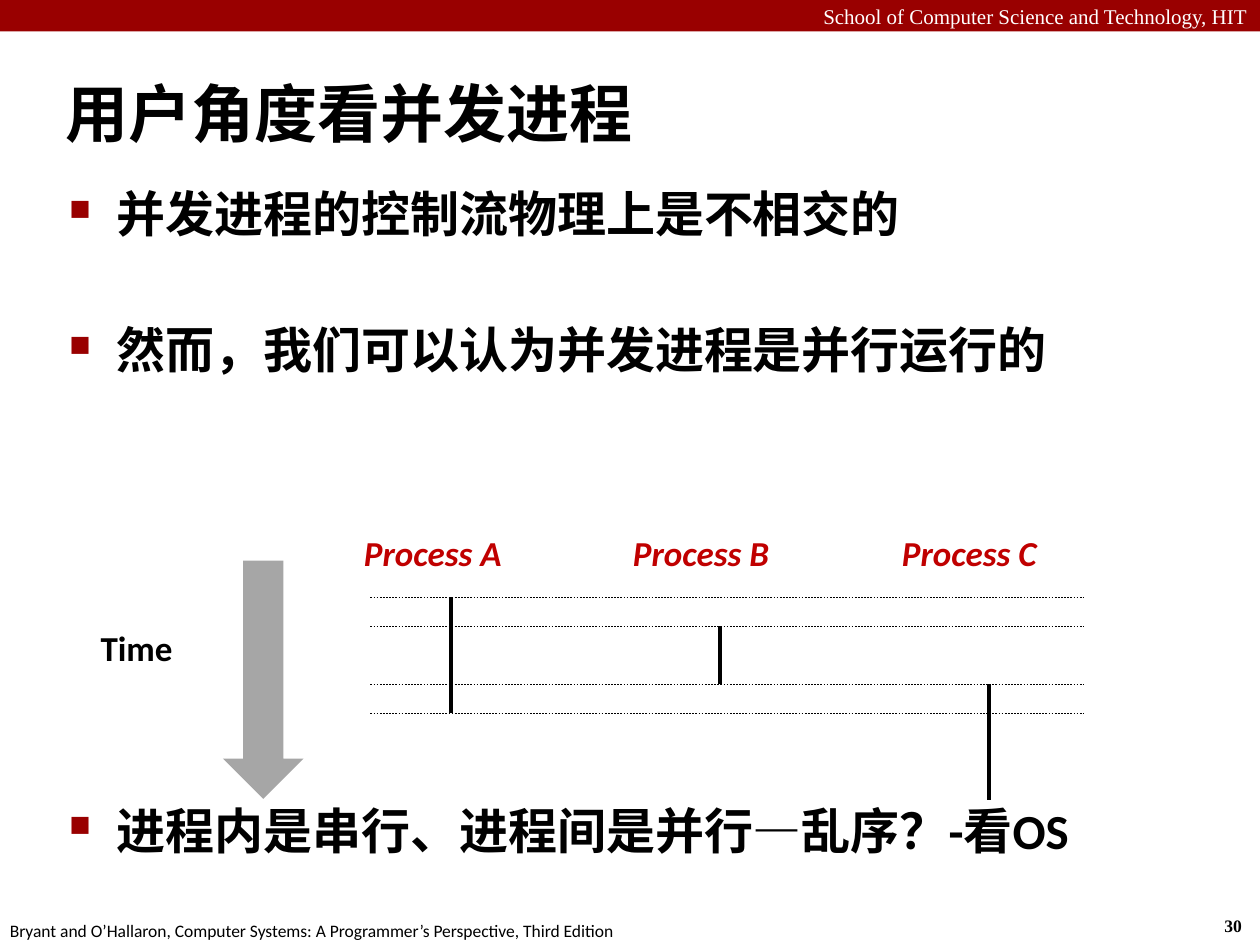
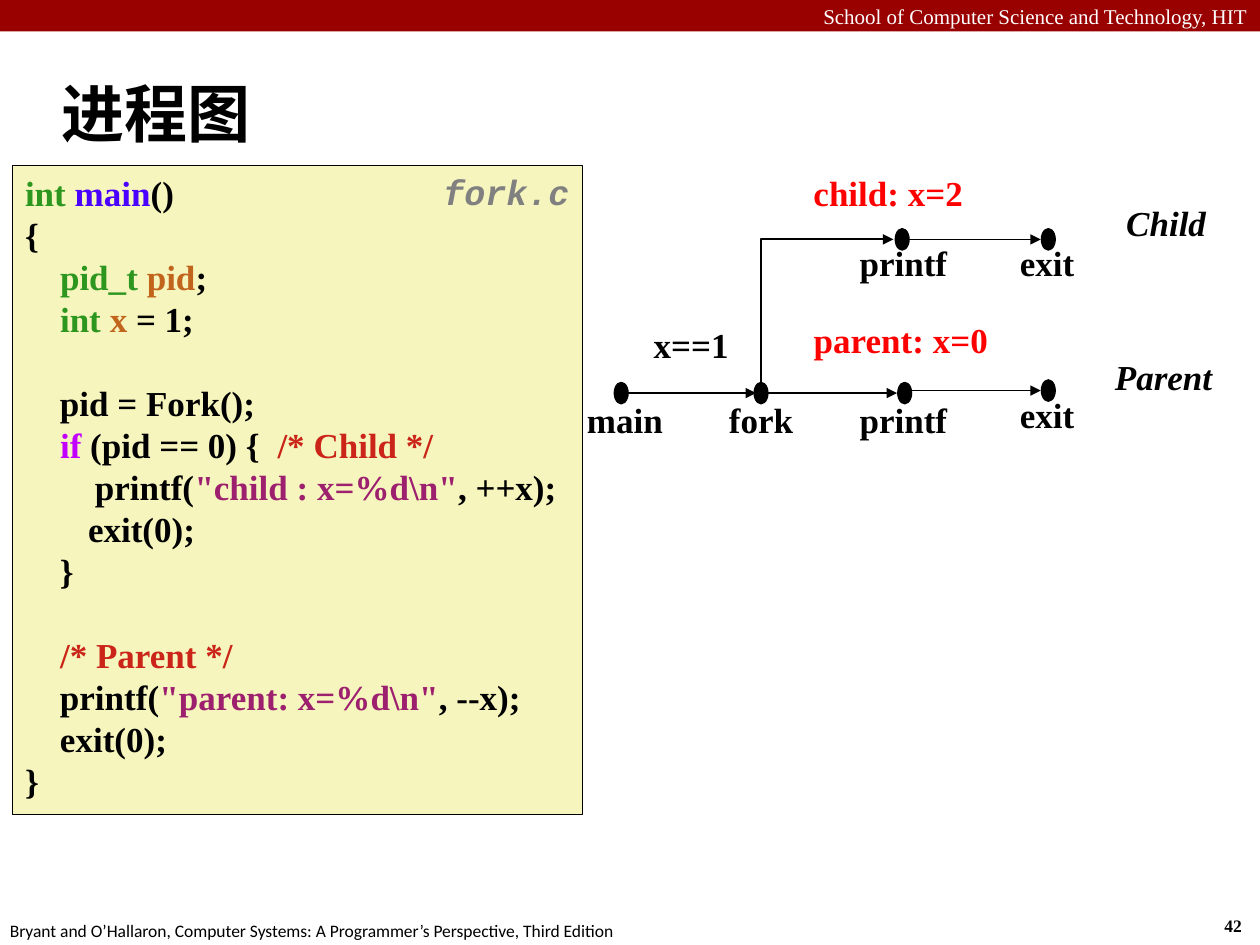
from lxml import etree
from pptx import Presentation
from pptx.dml.color import RGBColor
from pptx.enum import dml, shapes, text
from pptx.oxml.ns import qn
from pptx.util import Inches, Pt

BLACK, WHITE, MAROON, RED = "000000", "FFFFFF", "990000", "FF0000"
TYPE, CALL, NAME, KEYWORD = "2D961E", "4A00FF", "C1651C", "C200FF"
COMMENT, STRING = "CB2418", "9D206F"
SANS, SERIF, MONO = "Calibri", "Times New Roman", "Courier New"
LEFT, CENTER, RIGHT = text.PP_ALIGN.LEFT, text.PP_ALIGN.CENTER, text.PP_ALIGN.RIGHT
TOP, MIDDLE = text.MSO_ANCHOR.TOP, text.MSO_ANCHOR.MIDDLE
PRESET = shapes.MSO_SHAPE


def rgb(value):
    """Turn a hex string into a colour."""
    return RGBColor.from_string(value)


class Deck:
    """Holds the shared style and the current slide."""

    def __init__(self):
        """Start an empty 10 by 7.5 inch presentation."""
        self.presentation = Presentation()
        self.presentation.slide_width = Inches(10)
        self.presentation.slide_height = Inches(7.5)

    def start(self, number, title, left, top, width, height):
        """Add a slide with band, footer, page number and title."""
        blank = self.presentation.slide_layouts[6]
        self.slide = self.presentation.slides.add_slide(blank)
        band = self.shape(PRESET.RECTANGLE, 0, 0, 10, 0.25, MAROON)
        band.text_frame.margin_top = band.text_frame.margin_bottom = 0
        school = "School of Computer Science and Technology, HIT"
        self.fill_text(band.text_frame, [[(school, WHITE)]], 12, SERIF,
                       bold=False, align=RIGHT, anchor=MIDDLE)
        self.text(9.62, 7.21, 0.37, 0.27, str(number), 10)
        self.text(-0.02, 7.25, 5.08, 0.27,
                  "Bryant and O’Hallaron, Computer Systems: "
                  "A Programmer’s Perspective, Third Edition",
                  10, SANS, bold=False)
        self.text(left, top, width, height, title, 36, SANS,
                  anchor=MIDDLE, wrap=True)

    def fill_text(self, frame, lines, size=20, font=SERIF, bold=True, italic=False,
                  align=LEFT, anchor=TOP, wrap=False, spacing=None):
        """Write lines of (words, colour) runs into a text frame."""
        frame.word_wrap = wrap
        frame.vertical_anchor = anchor
        for index, line in enumerate(lines):
            paragraph = frame.add_paragraph() if index else frame.paragraphs[0]
            paragraph.alignment = align
            paragraph.line_spacing = spacing
            paragraph.font.size = Pt(size)
            paragraph.font.name = font
            for words, color in line:
                run = paragraph.add_run()
                run.text = words
                run.font.size, run.font.name = Pt(size), font
                run.font.bold, run.font.italic = bold, italic
                run.font.color.rgb = rgb(color)

    def text(self, left, top, width, height, words, size=20, font=SERIF,
             color=BLACK, **style):
        """Add a one-line text box."""
        box = self.slide.shapes.add_textbox(
            Inches(left), Inches(top), Inches(width), Inches(height))
        self.fill_text(box.text_frame, [[(words, color)]], size, font, **style)

    def bullets(self, left, top, width, height, points):
        """Add a bulleted body from (words, space before) pairs."""
        box = self.slide.shapes.add_textbox(
            Inches(left), Inches(top), Inches(width), Inches(height))
        self.fill_text(box.text_frame, [[(words, BLACK)] for words, _ in points],
                       28, SANS, wrap=True)
        for paragraph, (_, before) in zip(box.text_frame.paragraphs, points):
            paragraph.space_before = Pt(before)
            properties = paragraph._p.get_or_add_pPr()
            properties.set("marL", str(Inches(0.38)))
            properties.set("indent", str(Inches(-0.38)))
            marks = [etree.Element(qn(tag)) for tag in
                     ("a:buClr", "a:buSzPct", "a:buChar")]
            etree.SubElement(marks[0], qn("a:srgbClr")).set("val", MAROON)
            marks[1].set("val", "60000")
            marks[2].set("char", "■")
            place = len(properties.findall(qn("a:lnSpc")))
            place += len(properties.findall(qn("a:spcBef")))
            for offset, mark in enumerate(marks):
                properties.insert(place + offset, mark)

    def shape(self, preset, left, top, width, height, fill, outline=None):
        """Add a filled preset shape, outlined in black if a width is given."""
        shape = self.slide.shapes.add_shape(
            preset, Inches(left), Inches(top), Inches(width), Inches(height))
        shape.shadow.inherit = False
        shape.fill.solid()
        shape.fill.fore_color.rgb = rgb(fill)
        if outline:
            shape.line.color.rgb = rgb(BLACK)
            shape.line.width = Pt(outline)
        else:
            shape.line.fill.background()
        return shape

    def line(self, x1, y1, x2, y2, width, dash=False, arrow=False,
             kind=shapes.MSO_CONNECTOR.STRAIGHT):
        """Add a black connector."""
        line = self.slide.shapes.add_connector(
            kind, Inches(x1), Inches(y1), Inches(x2), Inches(y2))
        line.line.color.rgb = rgb(BLACK)
        line.line.width = Pt(width)
        if dash:
            line.line.dash_style = dml.MSO_LINE.DASH
        properties = line._element.spPr
        if arrow:
            etree.SubElement(properties.find(qn("a:ln")),
                             qn("a:tailEnd")).set("type", "triangle")
        etree.SubElement(properties, qn("a:effectLst"))
        return line

    def up_then_right(self, x1, y1, x2, y2):
        """Add an arrow with one corner, rising before it turns right."""
        across, rise = x2 - x1, y1 - y2
        x, y = (x1 + x2) / 2, (y1 + y2) / 2
        bend = self.line(x + rise / 2, y + across / 2, x - rise / 2, y - across / 2,
                         1, arrow=True, kind=shapes.MSO_CONNECTOR.ELBOW)
        properties = bend._element.spPr
        properties.find(qn("a:xfrm")).set("rot", "5400000")
        properties.find(qn("a:prstGeom")).set("prst", "bentConnector2")

    def node(self, x, y, label, label_x, label_top):
        """Add a process graph vertex with its label below."""
        self.shape(PRESET.OVAL, x - 0.055, y - 0.085, 0.11, 0.17, BLACK, 0.75)
        self.text(label_x - 0.575, label_top, 1.15, 0.42, label,
                  align=CENTER, wrap=True)


def concurrency(deck):
    """Build the slide on concurrent processes."""
    deck.start(30, "用户角度看并发进程", 0.42, 0.58, 9.25, 0.63)
    deck.bullets(0.45, 1.41, 8.64, 2.18, [
        ("并发进程的控制流物理上是不相交的", 0),
        ("然而，我们可以认为并发进程是并行运行的", 44),
        ("进程内是串行、进程间是并行—乱序？-看OS", 241)])
    deck.text(0.7, 4.92, 1, 0.6, "Time", font=SANS)
    deck.shape(PRESET.DOWN_ARROW, 1.77, 4.45, 0.64, 1.89, "A6A6A6")
    for moment in (4.74, 4.97, 5.43, 5.66):
        deck.line(2.94, moment, 8.6, moment, 0.25, dash=True)
    step = 0.46
    processes = [("A", 4.74, 2), ("B", 4.97, 1), ("C", 5.43, 2)]
    for column, (letter, begin, steps) in enumerate(processes):
        x = 3.58 + 2.135 * column
        deck.text(x - 0.79, 4.17, 1.65, 0.6, f"Process {letter}",
                  font=SANS, color="C00000", italic=True)
        for index in range(steps):
            top = begin + step * index
            deck.line(x, top, x, top + step, 2)


def process_graph(deck):
    """Build the slide with the fork program and its process graph."""
    deck.start(42, "进程图", 0.39, 0.48, 8.3, 0.83)
    program = [
        [("int ", TYPE), ("main", CALL), ("()", BLACK)],
        [("{", BLACK)],
        [("    ", BLACK), ("pid_t ", TYPE), ("pid", NAME), (";", BLACK)],
        [("    ", BLACK), ("int ", TYPE), ("x", NAME), (" = 1;", BLACK)],
        [],
        [("    pid = Fork();", BLACK)],
        [("    ", BLACK), ("if", KEYWORD), (" (pid == 0) {  ", BLACK),
         ("/* Child */", COMMENT)],
        [("        printf(", BLACK), (r'"child : x=%d\n"', STRING),
         (", ++x);", BLACK)],
        [("\texit(0);", BLACK)],
        [("    }", BLACK)],
        [],
        [("    ", BLACK), ("/* Parent */", COMMENT)],
        [("    printf(", BLACK), (r'"parent: x=%d\n"', STRING), (", --x);", BLACK)],
        [("    exit(0);", BLACK)],
        [("}", BLACK)]]
    listing = deck.shape(PRESET.RECTANGLE, 0.1, 1.31, 4.52, 5.15, "F6F5BD", 0.25)
    deck.fill_text(listing.text_frame, program, spacing=Pt(24))
    deck.text(3.42, 1.33, 1.21, 0.42, "fork.c", font=MONO, color="808080",
              italic=True, spacing=0.94)

    for vertex in [(4.93, 3.12, "main", 4.96, 3.11),
                   (6.04, 3.12, "fork", 6.04, 3.11),
                   (7.18, 3.12, "printf", 7.17, 3.11),
                   (8.32, 3.1, "exit", 8.31, 3.07),
                   (7.16, 1.9, "printf", 7.17, 1.87),
                   (8.32, 1.9, "exit", 8.31, 1.87)]:
        deck.node(*vertex)
    for begin, end, y in [(4.98, 6, 3.12), (6.09, 7.12, 3.12),
                          (7.2, 8.26, 3.1), (7.2, 8.26, 1.9)]:
        deck.line(begin, y, end, y, 1, arrow=True)
    deck.up_then_right(6.04, 3.11, 7.09, 1.9)

    for left, top, width, words, color in [
            (5.93, 1.31, 2.24, "child: x=2", RED),
            (6.03, 2.48, 2.24, "parent: x=0", RED),
            (5, 2.52, 0.97, "x==1", BLACK)]:
        deck.text(left, top, width, 0.42, words, color=color,
                  align=CENTER, wrap=True)
    deck.text(8.84, 1.55, 0.94, 0.42, "Child", italic=True)
    deck.text(8.75, 2.77, 1.15, 0.42, "Parent", italic=True)


def main():
    """Build and save both slides."""
    deck = Deck()
    concurrency(deck)
    process_graph(deck)
    deck.presentation.save("out.pptx")


if __name__ == "__main__":
    main()
